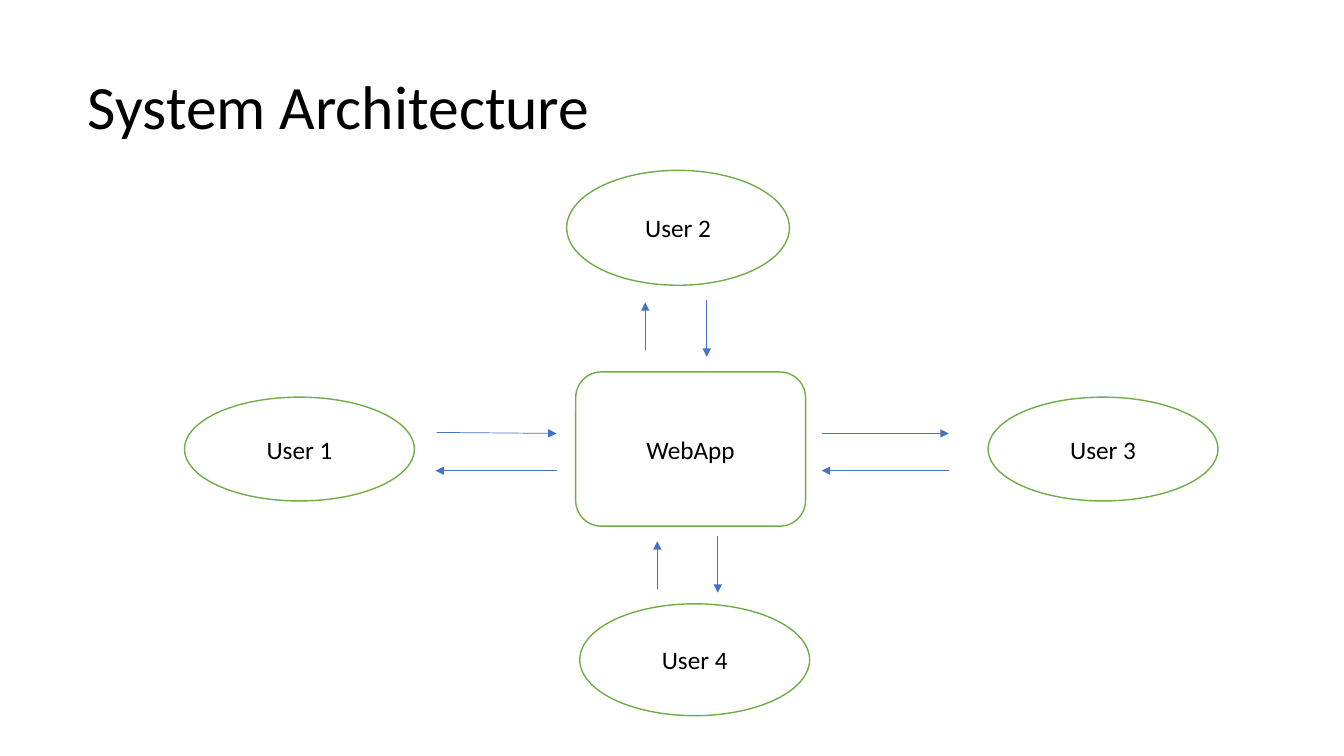
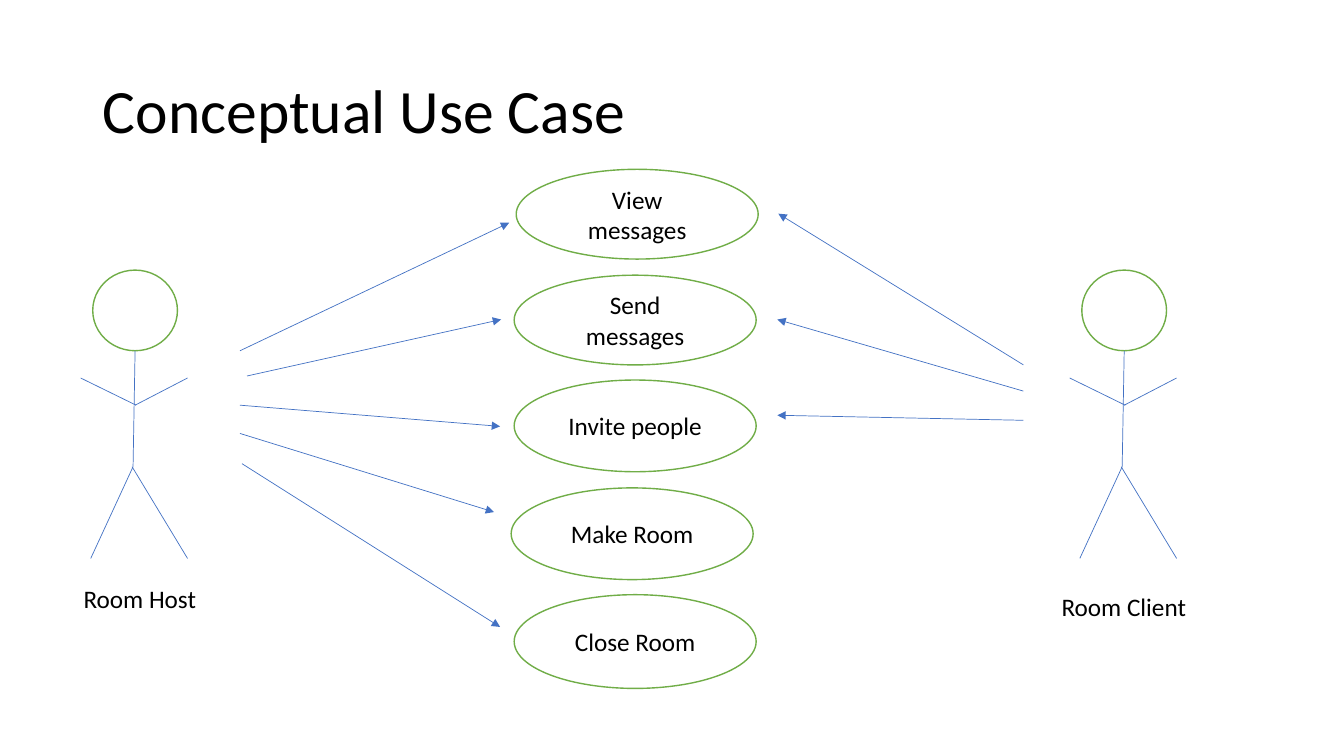
"""Build two diagram slides: a system architecture and a conceptual use case."""
from dataclasses import dataclass

from lxml import etree
from pptx import Presentation
from pptx.dml.color import RGBColor
from pptx.enum.shapes import MSO_CONNECTOR, MSO_SHAPE
from pptx.enum.text import MSO_ANCHOR, MSO_AUTO_SIZE, PP_ALIGN
from pptx.oxml.ns import qn
from pptx.util import Pt

ELLIPSE = MSO_SHAPE.OVAL
ROUNDED = MSO_SHAPE.ROUNDED_RECTANGLE
STRAIGHT = MSO_CONNECTOR.STRAIGHT
MIDDLE = MSO_ANCHOR.MIDDLE
LEFT, CENTER = PP_ALIGN.LEFT, PP_ALIGN.CENTER
NO_FIT, GROW = MSO_AUTO_SIZE.NONE, MSO_AUTO_SIZE.SHAPE_TO_FIT_TEXT
PX = 9144
TITLE_ONLY = 5


@dataclass(frozen=True)
class Theme:
    font: str = "Calibri"
    text: RGBColor = RGBColor(0x00, 0x00, 0x00)
    fill: RGBColor = RGBColor(0xFF, 0xFF, 0xFF)
    outline: RGBColor = RGBColor(0x70, 0xAD, 0x47)
    arrow: RGBColor = RGBColor(0x44, 0x72, 0xC4)
    title_size: Pt = Pt(44)
    body_size: Pt = Pt(18)
    outline_width: Pt = Pt(1)
    arrow_width: Pt = Pt(0.5)


THEME = Theme()


def write(frame, text, size, align):
    paragraph = frame.paragraphs[0]
    paragraph.alignment = align
    run = paragraph.add_run()
    run.text = text
    run.font.name = THEME.font
    run.font.size = size
    run.font.color.rgb = THEME.text
    return paragraph


def draw_line(slide, start, end, arrow):
    ends = [value * PX for value in (*start, *end)]
    connector = slide.shapes.add_connector(STRAIGHT, *ends)
    connector.line.color.rgb = THEME.arrow
    connector.line.width = THEME.arrow_width
    properties = connector.element.spPr
    if arrow:
        etree.SubElement(properties.get_or_add_ln(), qn("a:tailEnd"), type="triangle")
    etree.SubElement(properties, qn("a:effectLst"))


architecture_nodes = [
    (ELLIPSE, "User 1", (183, 394, 228, 103)),
    (ELLIPSE, "User 3", (980, 394, 228, 103)),
    (ROUNDED, "WebApp", (571, 369, 228, 153)),
    (ELLIPSE, "User 4", (575, 599, 228, 111)),
    (ELLIPSE, "User 2", (562, 169, 221, 114)),
]
architecture_arrows = [
    ((433, 429), (552, 430)),
    ((815, 430), (941, 430)),
    ((941, 467), (815, 467)),
    ((552, 467), (432, 467)),
    ((640, 347), (640, 300)),
    ((652, 584), (652, 537)),
    ((701, 298), (701, 354)),
    ((712, 532), (712, 588)),
]

use_cases = [
    (ELLIPSE, "View messages", (512, 168, 240, 89)),
    (ELLIPSE, "Send messages", (510, 273, 240, 89)),
    (ELLIPSE, "Invite people", (510, 377, 240, 91)),
    (ELLIPSE, "Make Room", (507, 484, 240, 91)),
    (ELLIPSE, "Close Room", (510, 590, 240, 93)),
]
use_case_arrows = [
    ((238, 348), (505, 221)),
    ((245, 373), (497, 317)),
    ((238, 402), (496, 423)),
    ((238, 430), (490, 508)),
    ((240, 460), (496, 622)),
    ((1015, 362), (772, 212)),
    ((1015, 388), (771, 317)),
    ((1015, 417), (771, 412)),
]
actors = [
    ("Room Host", 92, (73, 574)),
    ("Room Client", 1073, (1043, 582)),
]
limbs = [
    ((42, 348), (40, 463)),
    ((40, 463), (-2, 554)),
    ((39, 463), (94, 554)),
    ((42, 402), (94, 375)),
    ((43, 402), (-12, 375)),
]

heads = [(ELLIPSE, "", (left, 268, 84, 80)) for _, left, _ in actors]
diagrams = [
    ("System Architecture", (77, 36), architecture_nodes, architecture_arrows),
    ("Conceptual Use Case", (92, 40), heads + use_cases, use_case_arrows),
]

presentation = Presentation()
presentation.slide_width = 1333 * PX
presentation.slide_height = 750 * PX

for heading, (left, top), nodes, arrows in diagrams:
    slide = presentation.slides.add_slide(presentation.slide_layouts[TITLE_ONLY])
    title = slide.shapes.title
    title.left, title.top = left * PX, top * PX
    title.width, title.height = 1150 * PX, 145 * PX
    title.text_frame.auto_size = NO_FIT
    title.text_frame.vertical_anchor = MIDDLE
    write(title.text_frame, heading, THEME.title_size, LEFT).line_spacing = 0.9

    for outline, label, box in nodes:
        node = slide.shapes.add_shape(outline, *[value * PX for value in box])
        node.shadow.inherit = False
        node.fill.solid()
        node.fill.fore_color.rgb = THEME.fill
        node.line.color.rgb = THEME.outline
        node.line.width = THEME.outline_width
        if label:
            node.text_frame.word_wrap = True
            node.text_frame.vertical_anchor = MIDDLE
            write(node.text_frame, label, THEME.body_size, CENTER)

    for start, end in arrows:
        draw_line(slide, start, end, arrow=True)

for role, figure_left, (left, top) in actors:
    for (x1, y1), (x2, y2) in limbs:
        draw_line(slide, (figure_left + x1, y1), (figure_left + x2, y2), arrow=False)
    caption = slide.shapes.add_textbox(left * PX, top * PX, 145 * PX, 40 * PX)
    caption.text_frame.word_wrap = True
    caption.text_frame.auto_size = GROW
    write(caption.text_frame, role, THEME.body_size, LEFT)

presentation.save("out.pptx")
